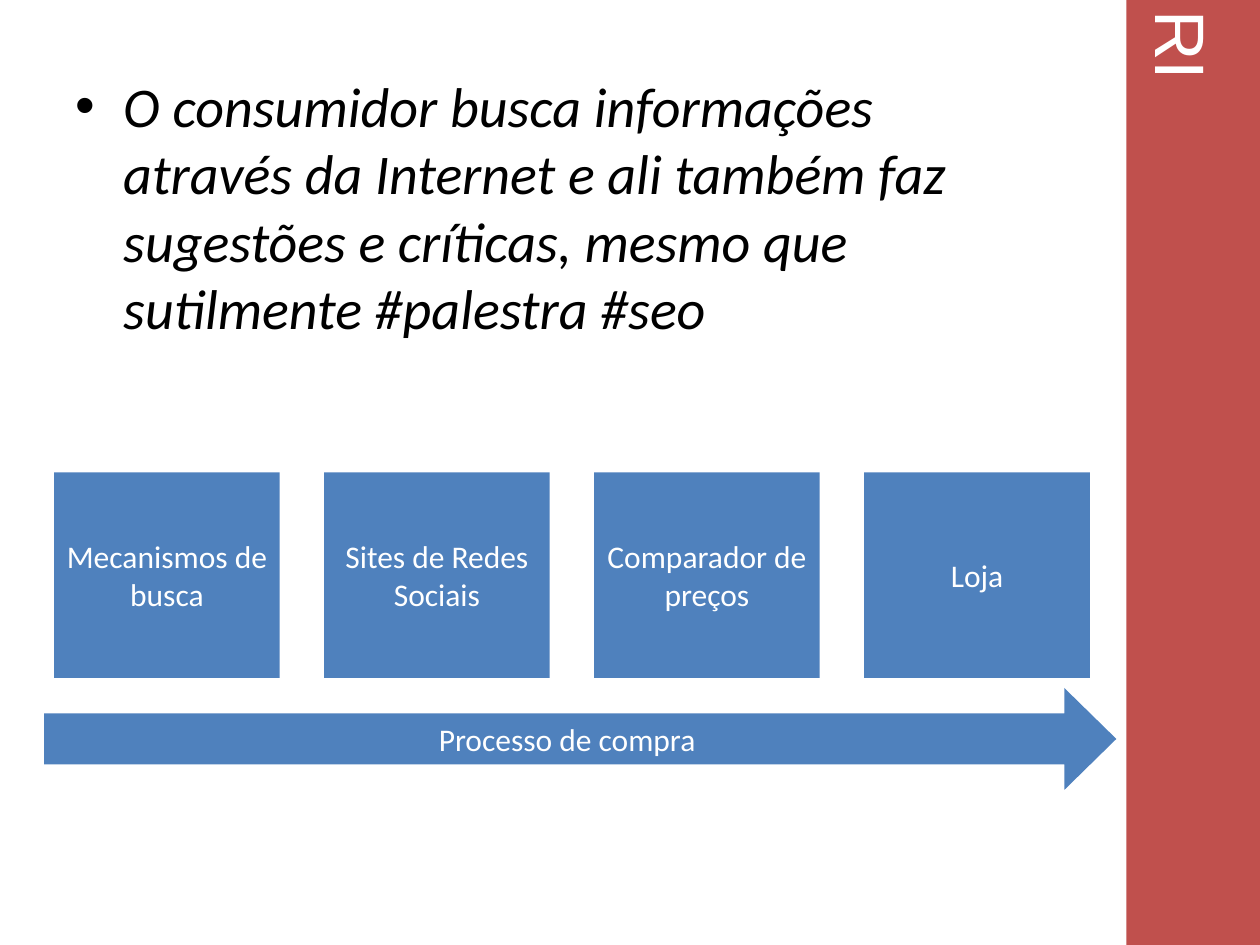
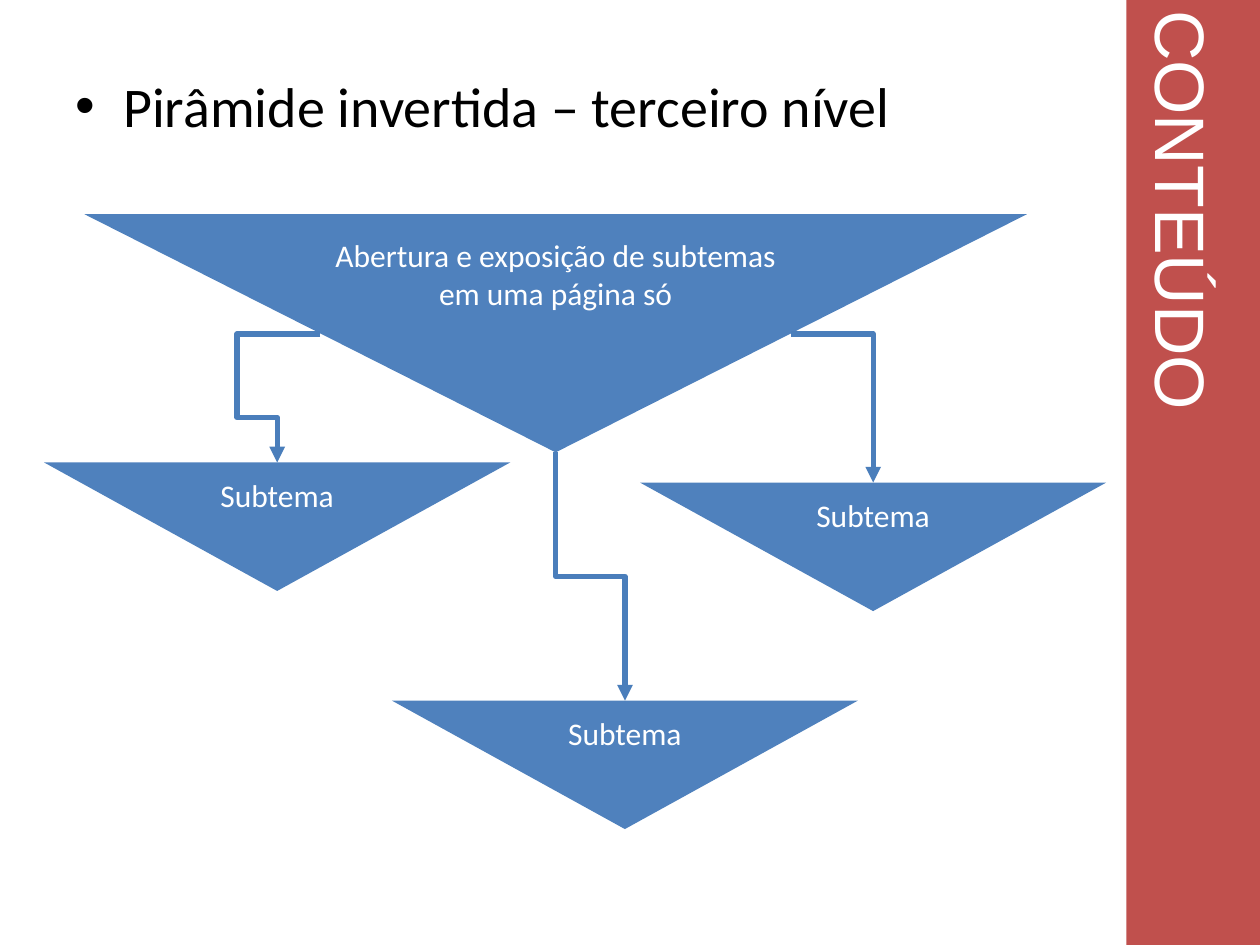
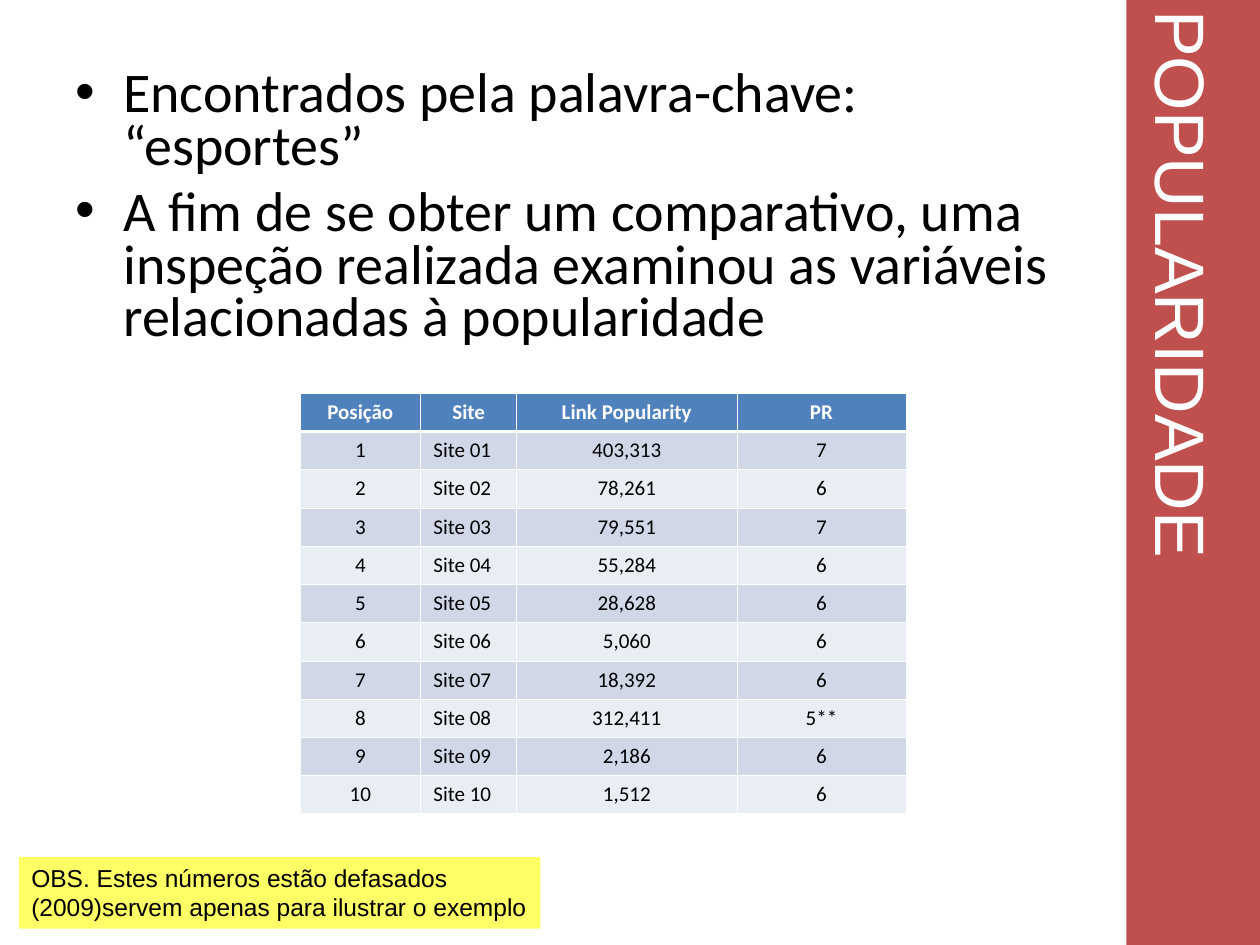
from dataclasses import dataclass

from lxml.etree import SubElement
from pptx import Presentation
from pptx.dml.color import RGBColor
from pptx.enum.shapes import MSO_CONNECTOR, MSO_SHAPE
from pptx.enum.text import MSO_ANCHOR, MSO_AUTO_SIZE, PP_ALIGN
from pptx.oxml.ns import qn
from pptx.shapes.autoshape import Shape
from pptx.slide import Slide
from pptx.text.text import _Paragraph as Paragraph
from pptx.util import Emu, Inches, Pt

# Grid: 100 columns by 75 rows of a tenth of an inch
CELL = Inches(0.1)
COLUMNS, ROWS = 100, 75

# Shared colours and fonts
BLACK = RGBColor(0x00, 0x00, 0x00)
WHITE = RGBColor(0xFF, 0xFF, 0xFF)
RED = RGBColor(0xC0, 0x50, 0x4D)
BLUE = RGBColor(0x4F, 0x81, 0xBD)
LINE_BLUE = RGBColor(0x4A, 0x7E, 0xBB)
YELLOW = RGBColor(0xFF, 0xFF, 0x66)
ROW_DARK = RGBColor(0xD0, 0xD8, 0xE8)
ROW_LIGHT = RGBColor(0xE9, 0xED, 0xF4)
BODY_FONT = "Calibri"
TITLE_FONT = "Arial"


@dataclass(frozen=True)
class Box:
    column: float
    row: float
    columns: float
    rows: float

    def lengths(self) -> tuple[Emu, ...]:
        return tuple(grid(cells) for cells in (self.column, self.row, self.columns, self.rows))


@dataclass(frozen=True)
class Block:
    text: str
    box: Box
    preset: MSO_SHAPE = MSO_SHAPE.RECTANGLE


@dataclass(frozen=True)
class Elbow:
    box: Box
    preset: str
    adjustments: tuple[float, ...]
    rotation: int = 0
    flip: str = ""


TITLE_BAND = Box(89.4, 0, COLUMNS - 89.4, ROWS)
BODY = Box(5, 5.2, 79.7, 67.7)

# Slide 1: purchase steps at equal distances
STEPS = ("Mecanismos de busca", "Sites de Redes Sociais", "Comparador de preços", "Loja")
STEP_PITCH = 21.43
STEP_BLOCKS = [
    Block(text, Box(4.3 + index * STEP_PITCH, 37.5, 17.9, 16.3))
    for index, text in enumerate(STEPS)
]
PROCESS_ARROW = Block("Processo de compra", Box(3.5, 54.6, 85.1, 8.1), MSO_SHAPE.RIGHT_ARROW)

# Slide 2: inverted pyramids and their links
OPENING = Block("Abertura e exposição de subtemas em uma página só",
                Box(6.7, 17, 74.8, 18.9), MSO_SHAPE.FLOWCHART_MERGE)
SUBTOPICS = [
    Block("Subtema", Box(column, row, 37, 10.2), MSO_SHAPE.FLOWCHART_MERGE)
    for column, row in ((3.5, 36.7), (50.8, 38.3), (31.1, 55.6))
]
ELBOWS = (
    Elbow(Box(62.8, 26.5, 6.5, 11.8), "bentConnector4", (1, 0.9)),
    Elbow(Box(37, 43, 19.7, 5.5), "bentConnector3", (0.5,), 270, "flipH"),
    Elbow(Box(22, 26.5, 3.4, 10.2), "bentConnector4", (1.94, 0.65), 180, "flipV"),
)

# Slide 3: popularity figures
TABLE_BOX = Box(23.8, 31.2, 48.1, 33.4)
TABLE_COLUMNS = (9.6, 7.6, 17.5, 13.4)
TABLE_HEADER = ("Posição", "Site", "Link Popularity", "PR")
SITE_COLUMN = TABLE_HEADER.index("Site")
POPULARITY = (
    ("403,313", "7"), ("78,261", "6"), ("79,551", "7"), ("55,284", "6"), ("28,628", "6"),
    ("5,060", "6"), ("18,392", "6"), ("312,411", "5**"), ("2,186", "6"), ("1,512", "6"),
)
NOTE = Block("OBS. Estes números estão defasados (2009)servem apenas para ilustrar o exemplo",
             Box(1.5, 68, 41.4, 5.7))


def grid(cells: float) -> Emu:
    return Emu(round(cells * CELL))


def format_runs(paragraph: Paragraph, size: float, color: RGBColor, name: str = BODY_FONT,
                bold: bool = False, italic: bool = False) -> None:
    for run in paragraph.runs:
        font = run.font
        font.size, font.name, font.bold, font.italic = Pt(size), name, bold, italic
        font.color.rgb = color


def add_bullet(paragraph: Paragraph) -> None:
    properties = paragraph._p.get_or_add_pPr()
    properties.set("marL", str(Inches(0.38)))
    properties.set("indent", str(-Inches(0.38)))
    bullet_color = SubElement(properties, qn("a:buClr"))
    SubElement(bullet_color, qn("a:srgbClr"), val=str(BLACK))
    SubElement(properties, qn("a:buFont"), typeface="Arial")
    SubElement(properties, qn("a:buChar"), char="•")


def add_titled_slide(presentation: Presentation, title: str) -> Slide:
    """Add a slide whose title runs down the red band on the right."""
    slide = presentation.slides.add_slide(presentation.slide_layouts[5])
    band = slide.shapes.title
    band.left, band.top, band.width, band.height = TITLE_BAND.lengths()
    band.fill.solid()
    band.fill.fore_color.rgb = RED
    frame = band.text_frame
    frame.text = title
    frame.auto_size = MSO_AUTO_SIZE.NONE
    frame.vertical_anchor = MSO_ANCHOR.MIDDLE
    frame.margin_left, frame.margin_top = Inches(0.05), Inches(0.08)
    frame.margin_right, frame.margin_bottom = Inches(0.2), Inches(0.1)
    frame._txBody.bodyPr.set("vert", "eaVert")
    frame.paragraphs[0].alignment = PP_ALIGN.CENTER
    format_runs(frame.paragraphs[0], 40, WHITE, TITLE_FONT)
    return slide


def add_body(slide: Slide, texts: tuple[str, ...], italic: bool = False,
             line_spacing: Pt | None = None) -> None:
    frame = slide.shapes.add_textbox(*BODY.lengths()).text_frame
    frame.word_wrap = True
    for index, text in enumerate(texts):
        paragraph = frame.add_paragraph() if index else frame.paragraphs[0]
        paragraph.text = text
        add_bullet(paragraph)
        paragraph.line_spacing = line_spacing
        if index:
            paragraph.space_before = Pt(8)
        format_runs(paragraph, 32, BLACK, italic=italic)


def add_filled_shape(slide: Slide, block: Block, color: RGBColor) -> Shape:
    shape = slide.shapes.add_shape(block.preset, *block.box.lengths())
    shape.shadow.inherit = False
    shape.fill.solid()
    shape.fill.fore_color.rgb = color
    shape.line.fill.background()
    shape.text_frame.word_wrap = True
    shape.text_frame.text = block.text
    return shape


def add_block(slide: Slide, block: Block) -> Shape:
    shape = add_filled_shape(slide, block, BLUE)
    shape.text_frame.vertical_anchor = MSO_ANCHOR.MIDDLE
    paragraph = shape.text_frame.paragraphs[0]
    paragraph.alignment = PP_ALIGN.CENTER
    format_runs(paragraph, 18, WHITE)
    return shape


def add_elbow(slide: Slide, elbow: Elbow) -> None:
    left, top, width, height = elbow.box.lengths()
    connector = slide.shapes.add_connector(
        MSO_CONNECTOR.ELBOW, left, top, left + width, top + height)
    connector.line.color.rgb = LINE_BLUE
    connector.line.width = Pt(3)
    properties = connector._element.spPr
    # Route: preset, turn and bend positions
    transform = properties.find(qn("a:xfrm"))
    if elbow.rotation:
        transform.set("rot", str(elbow.rotation * 60000))
    if elbow.flip:
        transform.set(elbow.flip, "1")
    geometry = properties.find(qn("a:prstGeom"))
    geometry.set("prst", elbow.preset)
    guides = geometry.find(qn("a:avLst"))
    for number, share in enumerate(elbow.adjustments, start=1):
        SubElement(guides, qn("a:gd"), name=f"adj{number}", fmla=f"val {round(share * 100000)}")
    # Arrowhead, and no shadow
    SubElement(properties.find(qn("a:ln")), qn("a:tailEnd"), type="triangle")
    SubElement(properties, qn("a:effectLst"))


def set_borders(cell, widths: dict[str, float]) -> None:
    properties = cell._tc.get_or_add_tcPr()
    for index, (side, width) in enumerate(widths.items()):
        line = properties.makeelement(qn(f"a:{side}"), {"w": str(Pt(width))})
        fill = SubElement(line, qn("a:solidFill"))
        SubElement(fill, qn("a:srgbClr"), val=str(WHITE))
        properties.insert(index, line)


def add_popularity_table(slide: Slide) -> None:
    rows = [TABLE_HEADER] + [
        (str(position), f"Site {position:02}", *figures)
        for position, figures in enumerate(POPULARITY, start=1)
    ]
    table = slide.shapes.add_table(
        len(rows), len(TABLE_HEADER), *TABLE_BOX.lengths()).table
    for column, width in zip(table.columns, TABLE_COLUMNS):
        column.width = grid(width)
    for row_index, values in enumerate(rows):
        is_header = row_index == 0
        color = BLUE if is_header else ROW_DARK if row_index % 2 else ROW_LIGHT
        borders = {"lnL": 0.45, "lnR": 0.45, "lnT": 1.47 if row_index == 1 else 0.45,
                   "lnB": 1.47 if is_header else 0.45}
        for column_index, value in enumerate(values):
            cell = table.cell(row_index, column_index)
            cell.fill.solid()
            cell.fill.fore_color.rgb = color
            set_borders(cell, borders)
            cell.text_frame.text = value
            paragraph = cell.text_frame.paragraphs[0]
            left_aligned = column_index == SITE_COLUMN and not is_header
            paragraph.alignment = PP_ALIGN.LEFT if left_aligned else PP_ALIGN.CENTER
            format_runs(paragraph, 12, WHITE if is_header else BLACK, bold=is_header)


def add_note(slide: Slide, note: Block) -> None:
    frame = add_filled_shape(slide, note, YELLOW).text_frame
    frame.vertical_anchor = MSO_ANCHOR.TOP
    frame.paragraphs[0].alignment = PP_ALIGN.LEFT
    format_runs(frame.paragraphs[0], 14, BLACK, TITLE_FONT)


def build_purchase_slide(presentation: Presentation) -> None:
    slide = add_titled_slide(presentation, "RI")
    add_body(slide, ("O consumidor busca informações através da Internet e ali também faz "
                     "sugestões e críticas, mesmo que sutilmente #palestra #seo",), italic=True)
    for block in STEP_BLOCKS:
        add_block(slide, block)
    arrow = add_block(slide, PROCESS_ARROW)
    arrow.adjustments[0], arrow.adjustments[1] = 0.5, 0.51


def build_pyramid_slide(presentation: Presentation) -> None:
    slide = add_titled_slide(presentation, "CONTEÚDO")
    add_body(slide, ("Pirâmide invertida – terceiro nível",))
    for block in (OPENING, *SUBTOPICS):
        add_block(slide, block)
    for elbow in ELBOWS:
        add_elbow(slide, elbow)


def build_popularity_slide(presentation: Presentation) -> None:
    slide = add_titled_slide(presentation, "POPULARIDADE")
    add_body(slide, ("Encontrados pela palavra-chave: “esportes”",
                     "A fim de se obter um comparativo, uma inspeção realizada examinou "
                     "as variáveis relacionadas à popularidade"), line_spacing=Pt(30))
    add_popularity_table(slide)
    add_note(slide, NOTE)


def main() -> None:
    presentation = Presentation()
    presentation.slide_width = grid(COLUMNS)
    presentation.slide_height = grid(ROWS)
    build_purchase_slide(presentation)
    build_pyramid_slide(presentation)
    build_popularity_slide(presentation)
    presentation.save("out.pptx")


if __name__ == "__main__":
    main()
